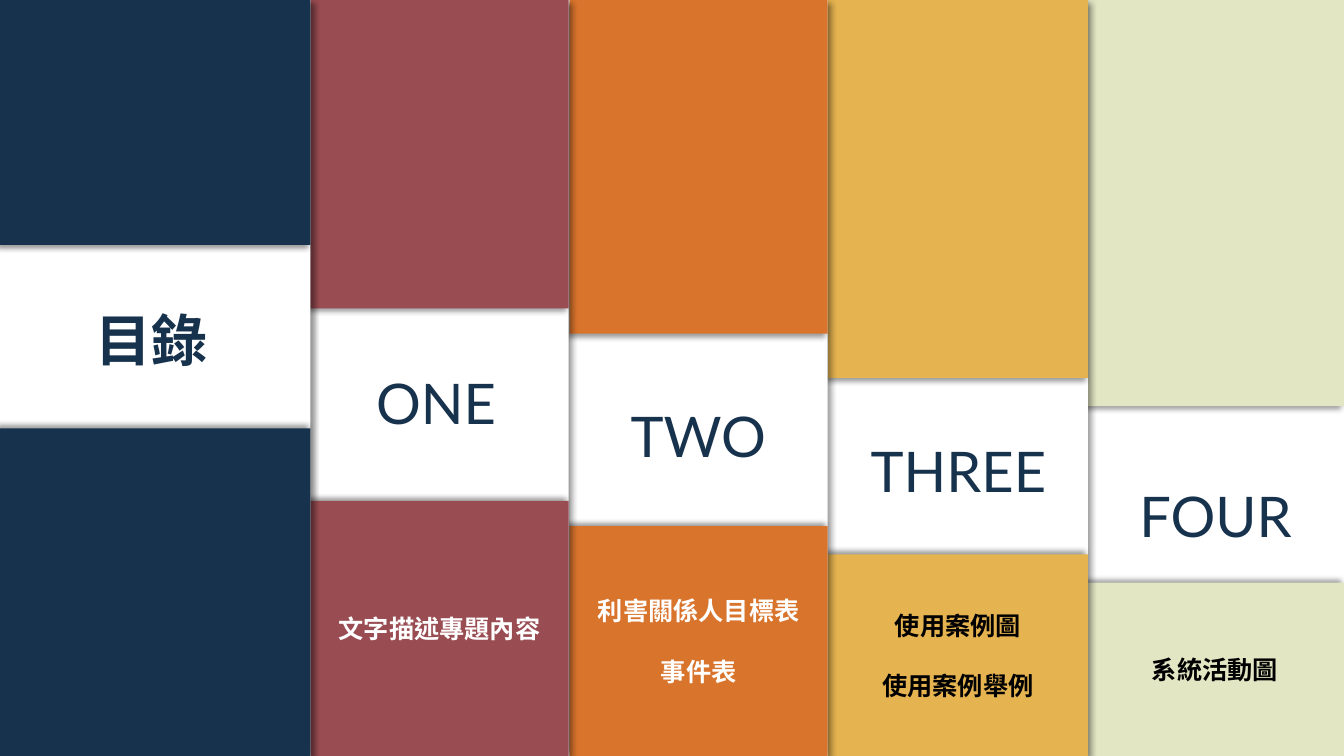
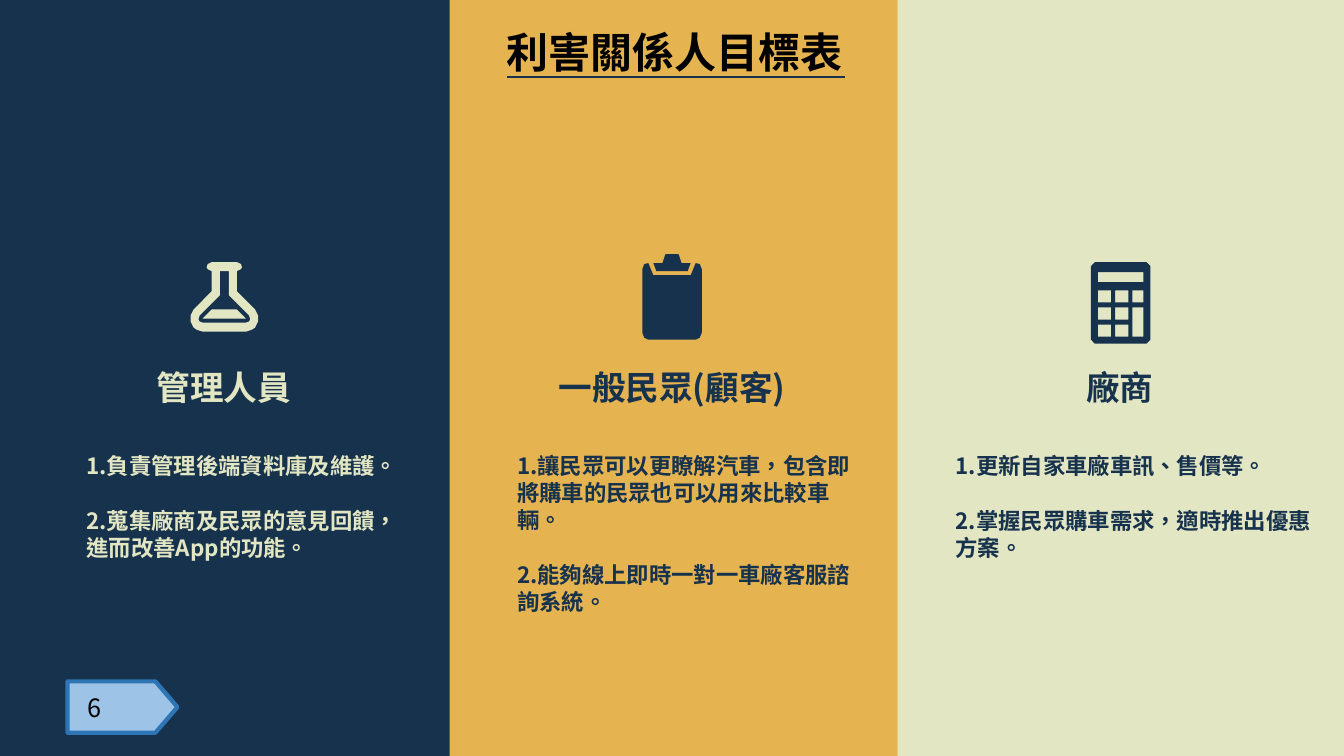
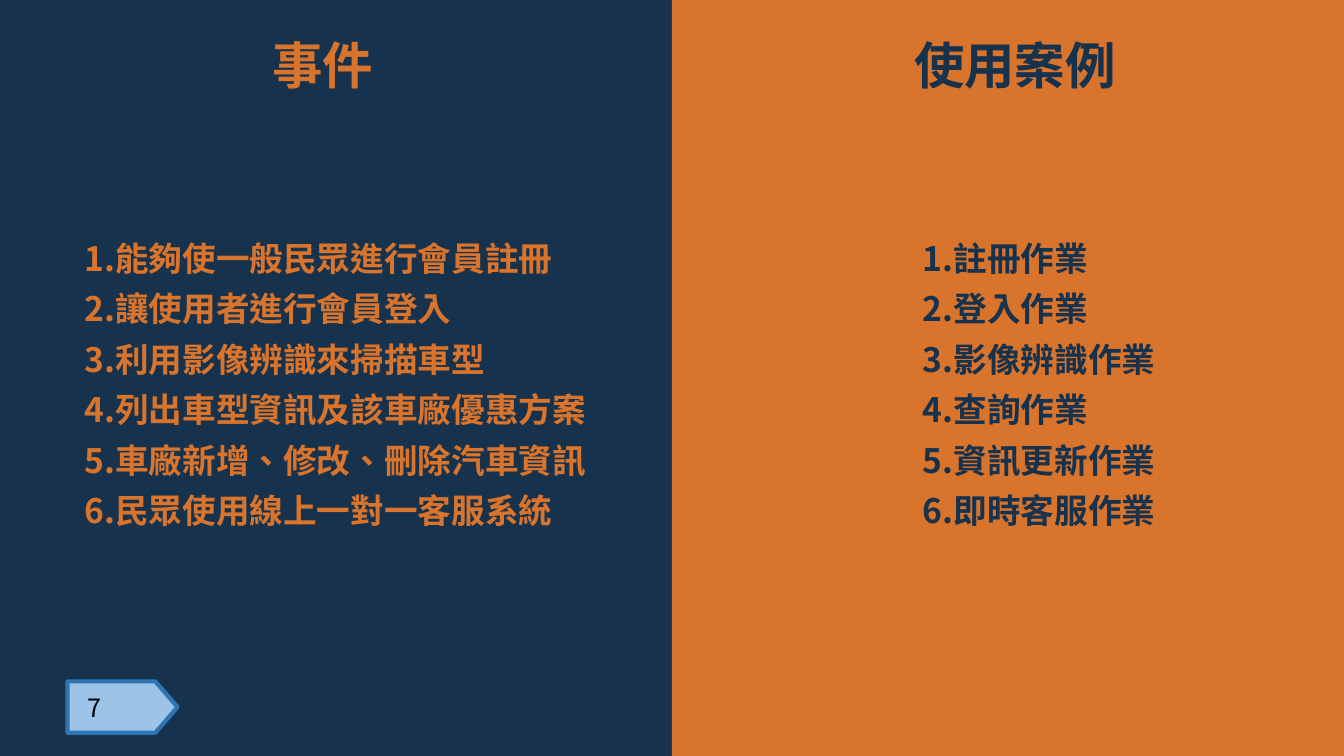
from dataclasses import dataclass
from math import cos, pi, sin

from lxml.etree import SubElement
from pptx import Presentation
from pptx.dml.color import RGBColor as RGB
from pptx.enum.shapes import MSO_CONNECTOR as CONN, MSO_SHAPE as SHAPE
from pptx.enum.text import MSO_ANCHOR as ANCHOR, MSO_AUTO_SIZE as FIT, PP_ALIGN as ALIGN
from pptx.oxml.ns import qn
from pptx.util import Pt

PX = 9144
W, H = 1333, 750


@dataclass(frozen=True)
class Theme:
    """Colours, fonts and type sizes shared by the slides."""
    navy: str = "17324D"
    wine: str = "994C52"
    orange: str = "D9742C"
    gold: str = "E5B350"
    sage: str = "E2E6C3"
    white: str = "FFFFFF"
    black: str = "000000"
    tag_fill: str = "9DC3E6"
    tag_line: str = "2E75B6"
    latin: str = "Lato"
    cjk: str = "Noto Sans CJK SC"
    label: int = 40
    half_title: int = 36
    title: int = 30
    heading: int = 24
    body: int = 18
    note: int = 16
    leading: float = 1.2


T = Theme()


def emu(*lengths):
    """Turn px lengths into EMU."""
    return [round(v * PX) for v in lengths]


def write(tf, lines, size, color, font=T.cjk, bold=True, align=ALIGN.LEFT,
          pitch=None, before=0):
    """Fill a text frame with one paragraph per line."""
    tf.word_wrap = True
    tf.text = "\n".join(lines)
    for p in tf.paragraphs:
        p.alignment = align
        p.line_spacing = Pt(pitch or size * T.leading)
        p.space_before = Pt(before)
        for r in p.runs:
            r.font.size = Pt(size)
            r.font.bold = bold
            r.font.name = font
            r.font.color.rgb = RGB.from_string(color)
            rpr = r._r.get_or_add_rPr()
            rpr.set("lang", "zh-TW")
            SubElement(rpr, qn("a:ea")).set("typeface", T.cjk)


def text_box(s, box, lines, size, color, **style):
    """Add a text box that grows with its text."""
    tf = s.shapes.add_textbox(*emu(*box)).text_frame
    write(tf, lines, size, color, **style)
    tf.auto_size = FIT.SHAPE_TO_FIT_TEXT


def paint(sp, fill):
    """Give a shape a plain fill with no line or shadow."""
    sp.shadow.inherit = False
    sp.fill.solid()
    sp.fill.fore_color.rgb = RGB.from_string(fill)
    sp.line.fill.background()
    return sp


def block(s, box, fill, shape=SHAPE.RECTANGLE):
    """Add a plain filled shape."""
    return paint(s.shapes.add_shape(shape, *emu(*box)), fill)


def cast_shadow(sp, angle):
    """Add a soft outer shadow at an angle in degrees."""
    effects = sp._element.spPr.find(qn("a:effectLst"))
    shadow = SubElement(effects, qn("a:outerShdw"), blurRad=str(Pt(4)),
                        dist=str(Pt(3)), dir=str(angle * 60000), algn="ctr", rotWithShape="0")
    color = SubElement(shadow, qn("a:srgbClr"), val=T.black)
    SubElement(color, qn("a:alpha"), val="40000")


def rect_points(x, y, w, h):
    """Return the corners of a rectangle."""
    return [(x, y), (x + w, y), (x + w, y + h), (x, y + h)]


def round_points(w, h, r, steps=4):
    """Return the outline of a rounded rectangle."""
    centres = [(w - r, h - r), (r, h - r), (r, r), (w - r, r)]
    angles = [i * pi / 2 / steps for i in range(steps + 1)]
    return [(round(cx + r * cos(q * pi / 2 + a), 2), round(cy + r * sin(q * pi / 2 + a), 2))
            for q, (cx, cy) in enumerate(centres) for a in angles]


def mirrored(half, width=69):
    """Close a right-hand half outline with its mirror image."""
    return half + [(width - x, y) for x, y in reversed(half)]


FLASK = [
    mirrored([(47, 0), (51, 2), (52, 5), (51, 7), (47, 9), (47, 29), (65, 47), (68, 53),
              (68, 59), (65, 65), (62, 67), (59, 68), (56, 69)]),
    mirrored([(39, 9), (39, 33), (59, 53), (60, 56), (60, 57), (59, 59), (56, 60)]),
    mirrored([(47, 47), (56, 56)]),
]
CLIPBOARD = [
    mirrored([(48, 21), (53, 9), (57, 10), (59, 15), (59, 78), (57, 83), (53, 85)], 59),
    mirrored([(36, 0), (39, 9), (48, 9), (45, 17)], 59),
]
CALCULATOR = [
    round_points(59, 81, 6),
    rect_points(7, 10, 45, 10),
    *[rect_points(x, y, 13, 12) for x in (7, 24) for y in (28, 45, 62)],
    rect_points(41, 28, 11, 12),
    rect_points(41, 45, 11, 29),
]


def icon(s, x, y, contours, fill):
    """Draw closed contours as one outline at a point."""
    fb = s.shapes.build_freeform(*contours[0][0], scale=PX)
    for i, points in enumerate(contours):
        if i:
            fb.move_to(*points[0])
        fb.add_line_segments(points[1:], close=True)
    paint(fb.convert_to_shape(*emu(x, y)), fill)


def page_tag(s, number):
    """Add the arrow-shaped page number."""
    sp = block(s, (67, 676, 109, 51), T.tag_fill, SHAPE.PENTAGON)
    sp.adjustments[0] = 0.43
    sp.line.color.rgb = RGB.from_string(T.tag_line)
    sp.line.width = Pt(3)
    tf = sp.text_frame
    tf.margin_left = emu(20)[0]
    tf.vertical_anchor = ANCHOR.MIDDLE
    write(tf, [str(number)], T.body, T.black, bold=False)


def contents_column(s, x, w, fill, gap, label, label_at, lines=(), ink=T.white):
    """Draw a contents column with a white label gap."""
    top, bottom = gap
    cast_shadow(block(s, (x, 0, w, H), T.white), 45)
    cast_shadow(block(s, (x, 0, w, top), fill), 135)
    base = block(s, (x, bottom, w, H - bottom), fill)
    cast_shadow(base, 225)
    if lines:
        base.text_frame.vertical_anchor = ANCHOR.MIDDLE
        write(base.text_frame, lines, T.body, ink, align=ALIGN.CENTER,
              before=T.body * T.leading)
    dx, y = label_at
    text_box(s, (x + dx, y, 309, 77), [label], T.label, T.navy, font=T.latin,
             bold=not lines, align=ALIGN.CENTER)


def role_panel(s, box, fill, ink, art, art_at, name, notes, note_dx, note_w):
    """Draw a stakeholder panel with icon, name and goals."""
    x, y, w, _ = box
    block(s, box, fill)
    text_box(s, (x + 26, y + 359, w - 54, 50), [name], T.heading, ink, align=ALIGN.CENTER)
    text_box(s, (x + note_dx, y + 444, note_w, 119), notes, T.note, ink, before=20)
    icon(s, x + art_at[0], y + art_at[1], art, ink)


def list_half(s, box, fill, ink, title, title_dx, align, items, list_dx, list_w):
    """Draw half a slide with a title and numbered list."""
    x, y, _, _ = box
    block(s, box, fill)
    numbered = [f"{i}.{item}" for i, item in enumerate(items, 1)]
    text_box(s, (x + list_dx, y + 221, list_w, 308), numbered, T.heading, ink, pitch=36)
    text_box(s, (x + title_dx, y + 29, 420, 71), [title], T.half_title, ink, align=align)


def contents_slide(s):
    """Build the contents slide from right to left."""
    contents_column(s, 1077, 256, T.sage, (403, 578), "FOUR", (-26, 473),
                    ["系統活動圖"], T.black)
    contents_column(s, 821, 258, T.gold, (375, 550), "THREE", (-25, 428),
                    ["使用案例圖", "使用案例舉例"], T.black)
    contents_column(s, 565, 256, T.orange, (331, 522), "TWO", (-27, 393),
                    ["利害關係人目標表", "事件表"])
    contents_column(s, 308, 256, T.wine, (306, 497), "ONE", (-30, 361),
                    ["文字描述專題內容"])
    contents_column(s, 0, 308, T.navy, (243, 425), "目錄", (-4, 298))


def roles_slide(s):
    """Build the stakeholder goals slide."""
    role_panel(s, (890, 0, 443, H), T.sage, T.navy, CALCULATOR, (192, 260), "廠商",
               ["1.更新自家車廠車訊、售價等。",
                "2.掌握民眾購車需求，適時推出優惠方案。"], 48, 382)
    role_panel(s, (445, 0, 445, H), T.gold, T.navy, CLIPBOARD, (192, 252), "一般民眾(顧客)",
               ["1.讓民眾可以更瞭解汽車，包含即將購車的民眾也可以用來比較車輛。",
                "2.能夠線上即時一對一車廠客服諮詢系統。"], 58, 352)
    role_panel(s, (0, 0, 446, H), T.navy, T.sage, FLASK, (188, 260), "管理人員",
               ["1.負責管理後端資料庫及維護。",
                "2.蒐集廠商及民眾的意見回饋，進而改善App的功能。"], 76, 332)
    text_box(s, (493, 21, 531, 61), ["利害關係人目標表"], T.title, T.black)
    rule = s.shapes.add_connector(CONN.STRAIGHT, *emu(503, 76, 838, 76))
    rule.line.color.rgb = RGB.from_string(T.navy)
    rule.line.width = Pt(1.5)
    SubElement(rule._element.spPr, qn("a:effectLst"))
    page_tag(s, 6)


def events_slide(s):
    """Build the events and use cases slide."""
    half = W / 2
    list_half(s, (0, 0, half, H), T.navy, T.orange, "事件", 260, ALIGN.LEFT,
              ["能夠使一般民眾進行會員註冊", "讓使用者進行會員登入", "利用影像辨識來掃描車型",
               "列出車型資訊及該車廠優惠方案", "車廠新增、修改、刪除汽車資訊",
               "民眾使用線上一對一客服系統"], 74, 519)
    list_half(s, (half, 0, half, H), T.orange, T.navy, "使用案例", 30, ALIGN.RIGHT,
              ["註冊作業", "登入作業", "影像辨識作業", "查詢作業", "資訊更新作業",
               "即時客服作業"], 239, 420)
    page_tag(s, 7)


def main():
    """Build the deck and save it."""
    prs = Presentation()
    prs.slide_width, prs.slide_height = emu(W, H)
    slides = ((contents_slide, T.white), (roles_slide, T.gold), (events_slide, T.white))
    for build, background in slides:
        s = prs.slides.add_slide(prs.slide_layouts[6])
        s.background.fill.solid()
        s.background.fill.fore_color.rgb = RGB.from_string(background)
        build(s)
    prs.save("out.pptx")


if __name__ == "__main__":
    main()
